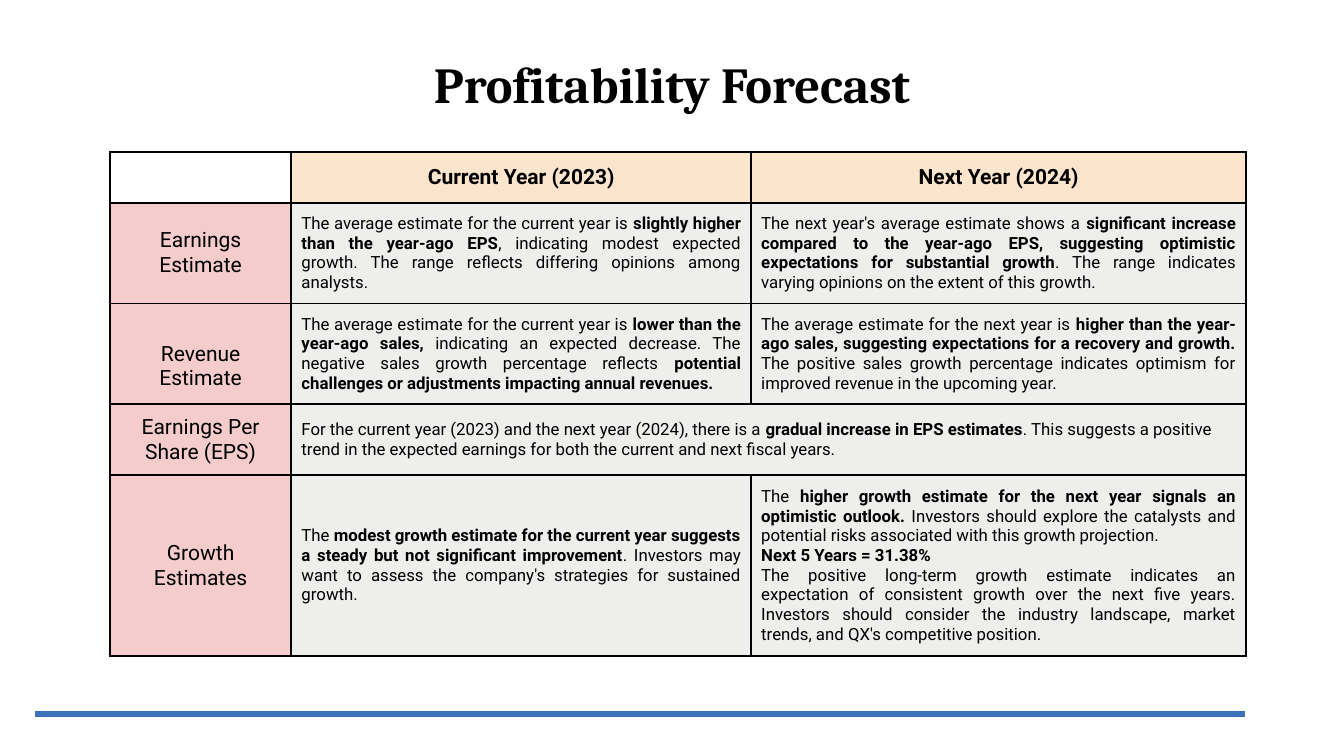
import pptx
import pptx.util
import pptx.dml.color
import pptx.enum.shapes
import pptx.enum.text
import pptx.oxml
import pptx.oxml.ns
import lxml.etree
from dataclasses import dataclass

TITLE = "Profitability Forecast"
HEADERS = ["", "Current Year (2023)", "Next Year (2024)"]
ROWS = [
    ("Earnings Estimate",
     ["The average estimate for the current year is **slightly higher than the year-ago EPS**, "
      "indicating modest expected growth. The range reflects differing opinions among analysts."],
     ["The next year's average estimate shows a **significant increase compared to the year-ago EPS, "
      "suggesting optimistic expectations for substantial growth**. The range indicates varying "
      "opinions on the extent of this growth."]),
    ("Revenue Estimate",
     ["The average estimate for the current year is **lower than the year-ago sales,** indicating an "
      "expected decrease. The negative sales growth percentage reflects** potential challenges or "
      "adjustments impacting annual revenues.**"],
     ["The average estimate for the next year is **higher than the year-ago sales, suggesting "
      "expectations for a recovery and growth.** The positive sales growth percentage indicates "
      "optimism for improved revenue in the upcoming year."]),
    ("Earnings Per Share (EPS)",
     ["For the current year (2023) and the next year (2024), there is a **gradual increase in EPS "
      "estimates**. This suggests a positive trend in the expected earnings for both the current and "
      "next fiscal years."],
     None),
    ("Growth Estimates",
     ["The **modest growth estimate for the current year suggests a steady but not significant "
      "improvement**. Investors may want to assess the company's strategies for sustained growth."],
     ["The **higher growth estimate for the next year signals an optimistic outlook.** Investors should "
      "explore the catalysts and potential risks associated with this growth projection.",
      "**Next 5 Years = 31.38%**",
      "The positive long-term growth estimate indicates an expectation of consistent growth over the "
      "next five years. Investors should consider the industry landscape, market trends, and QX's "
      "competitive position."]),
]
COLUMN_WIDTHS = [1.8, 4.56, 4.91]
ROW_HEIGHTS = [0.48, 0.98, 0.98, 0.69, 1.76]
TABLE_LEFT, TABLE_TOP = 1.09, 1.51
CELL_MARGIN = 0.1
LOWERED_LABELS = {"Revenue Estimate": 0.25}


@dataclass(frozen=True)
class Theme:
    title_font: str = "Cambria"
    body_font: str = "Roboto"
    title_size: int = 36
    label_size: int = 15
    body_size: int = 12
    ink: str = "000000"
    corner: str = "FFFFFF"
    header: str = "FCE5CD"
    label: str = "F4CCCC"
    body: str = "EEEEED"
    rule: str = "3B73B9"
    border_width: float = 1.5
    rule_width: float = 4.5


THEME = Theme()
ALIGN = pptx.enum.text.PP_ALIGN
MIDDLE = pptx.enum.text.MSO_ANCHOR.MIDDLE
Inches, Pt = pptx.util.Inches, pptx.util.Pt
rgb = pptx.dml.color.RGBColor.from_string


def write(tf, paragraphs, size=THEME.body_size, font=THEME.body_font, align=ALIGN.JUSTIFY,
          bold=False, spacing=None):
    tf.word_wrap = True
    for i, text in enumerate(paragraphs):
        p = tf.paragraphs[0] if i == 0 else tf.add_paragraph()
        p.alignment = align
        p.line_spacing = spacing
        for k, part in enumerate(text.split("**")):
            if part:
                r = p.add_run()
                r.text = part
                r.font.name = font
                r.font.size = Pt(size)
                r.font.bold = bold or k % 2 == 1
                r.font.color.rgb = rgb(THEME.ink)


def style_cell(cell, fill, extra_top=0):
    cell.vertical_anchor = MIDDLE
    cell.margin_left = cell.margin_right = cell.margin_bottom = Inches(CELL_MARGIN)
    cell.margin_top = Inches(CELL_MARGIN + extra_top)
    tcPr = cell._tc.get_or_add_tcPr()
    for side in ("lnL", "lnR", "lnT", "lnB"):
        tcPr.append(pptx.oxml.parse_xml(
            f'<a:{side} {pptx.oxml.ns.nsdecls("a")} w="{Pt(THEME.border_width)}">'
            f'<a:solidFill><a:srgbClr val="{THEME.ink}"/></a:solidFill></a:{side}>'))
    cell.fill.solid()
    cell.fill.fore_color.rgb = rgb(fill)


def add_title(slide, width, height):
    box = slide.shapes.add_textbox(int(width * 0.075), int(height * 0.07),
                                   int(width * 0.85), int(height * 0.09))
    tf = box.text_frame
    tf.vertical_anchor = MIDDLE
    write(tf, [TITLE], size=THEME.title_size, font=THEME.title_font, align=ALIGN.CENTER,
          bold=True, spacing=0.9)


def add_rule(slide):
    y = Inches(7.08)
    rule = slide.shapes.add_connector(pptx.enum.shapes.MSO_CONNECTOR.STRAIGHT,
                                      Inches(12.35), y, Inches(0.35), y)
    rule.line.color.rgb = rgb(THEME.rule)
    rule.line.width = Pt(THEME.rule_width)
    lxml.etree.SubElement(rule._element.spPr, pptx.oxml.ns.qn("a:effectLst"))


def add_forecast(slide):
    table = slide.shapes.add_table(
        len(ROW_HEIGHTS), len(COLUMN_WIDTHS), Inches(TABLE_LEFT), Inches(TABLE_TOP),
        Inches(sum(COLUMN_WIDTHS)), Inches(sum(ROW_HEIGHTS))).table
    table.first_row = table.horz_banding = False
    for column, w in zip(table.columns, COLUMN_WIDTHS):
        column.width = Inches(w)
    for row, h in zip(table.rows, ROW_HEIGHTS):
        row.height = Inches(h)

    for c, header in enumerate(HEADERS):
        cell = table.cell(0, c)
        style_cell(cell, THEME.header if header else THEME.corner)
        write(cell.text_frame, [header], size=THEME.label_size, align=ALIGN.CENTER, bold=True)

    for r, (label, *bodies) in enumerate(ROWS, 1):
        cell = table.cell(r, 0)
        style_cell(cell, THEME.label, LOWERED_LABELS.get(label, 0))
        write(cell.text_frame, [label], size=THEME.label_size, align=ALIGN.CENTER)
        spans = bodies[-1] is None
        if spans:
            table.cell(r, 1).merge(table.cell(r, 2))
        for c, body in enumerate(bodies, 1):
            cell = table.cell(r, c)
            style_cell(cell, THEME.body)
            if body:
                write(cell.text_frame, body, align=ALIGN.LEFT if spans else ALIGN.JUSTIFY)


def main():
    prs = pptx.Presentation()
    prs.slide_width, prs.slide_height = Inches(13.33), Inches(7.5)
    slide = prs.slides.add_slide(prs.slide_layouts[6])
    add_title(slide, prs.slide_width, prs.slide_height)
    add_rule(slide)
    add_forecast(slide)
    prs.save("out.pptx")


if __name__ == "__main__":
    main()
